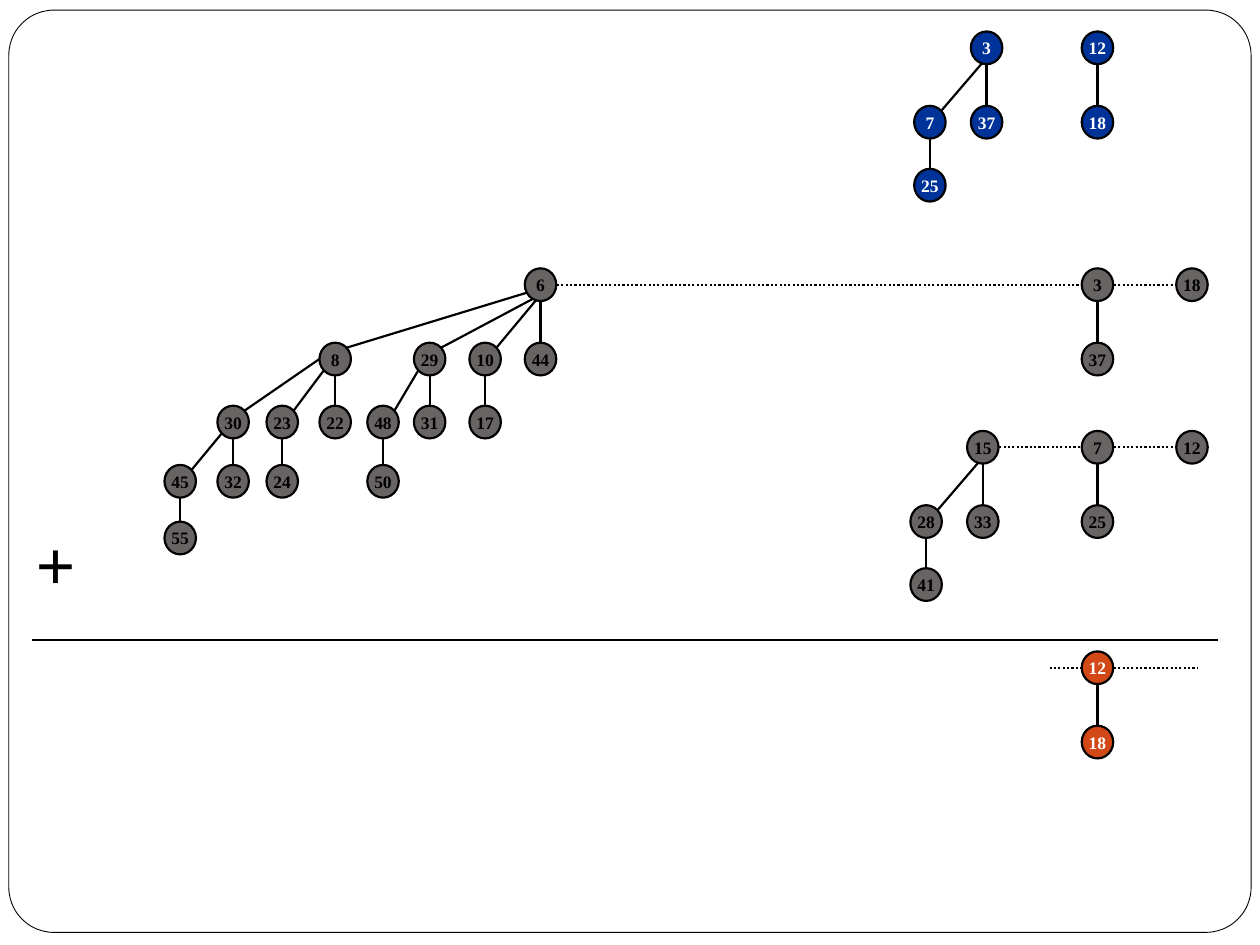
from lxml import etree
from pptx import Presentation, util as u
from pptx.dml.color import RGBColor
from pptx.enum import dml, shapes, text
from pptx.oxml.ns import qn

BLACK, WHITE = RGBColor(0, 0, 0), RGBColor(255, 255, 255)
GRAY, BLUE, ORANGE = (RGBColor.from_string(c) for c in ("696464", "003399", "D34817"))

# Binomial trees: (key, centre x, children)
CARRY = [
    ("3", 7.83, [("7", 7.38, [("25", 7.38, [])]), ("37", 7.83, [])]),
    ("12", 8.71, [("18", 8.71, [])]),
]
FIRST_HEAP = [
    ("6", 4.29, [
        ("8", 2.66, [
            ("30", 1.85, [("45", 1.43, [("55", 1.43, [])]), ("32", 1.85, [])]),
            ("23", 2.24, [("24", 2.24, [])]),
            ("22", 2.66, [])]),
        ("29", 3.41, [("48", 3.04, [("50", 3.04, [])]), ("31", 3.41, [])]),
        ("10", 3.85, [("17", 3.85, [])]),
        ("44", 4.29, [])]),
    ("3", 8.71, [("37", 8.71, [])]),
    ("18", 9.46, []),
]
SECOND_HEAP = [
    ("15", 7.8, [("28", 7.35, [("41", 7.35, [])]), ("33", 7.8, [])]),
    ("7", 8.71, [("25", 8.71, [])]),
    ("12", 9.46, []),
]
RESULT = [("12", 8.71, [("18", 8.71, [])])]

# (trees, root centre y, fill, text colour, x positions joined by dotted links)
HEAPS = [
    (CARRY, 0.38, BLUE, WHITE, []),
    (FIRST_HEAP, 2.26, GRAY, BLACK, [(4.42, 8.58), (8.84, 9.33)]),
    (SECOND_HEAP, 3.55, GRAY, BLACK, [(7.93, 8.58), (8.84, 9.33)]),
    (RESULT, 5.3, ORANGE, WHITE, [(8.33, 8.58), (8.84, 9.5)]),
]

LEVELS = [0, 0.59, 1.09, 1.56, 2.01]  # depth of each tree level below its root
NODE_W, NODE_H = 0.25, 0.26
CORNER = 0.09                         # offset of a node's diagonal point
FLAT = 0.65                           # edges with a lower slope count as flat
FONT = dict(name="Times New Roman", bold=True)

prs = Presentation()
prs.slide_width, prs.slide_height = u.Inches(10), u.Inches(7.5)
slide = prs.slides.add_slide(prs.slide_layouts[6])


def add_line(x1, y1, x2, y2, dash=None):
    line = slide.shapes.add_connector(
        shapes.MSO_CONNECTOR.STRAIGHT, *map(u.Inches, (x1, y1, x2, y2)))
    line.line.color.rgb = BLACK
    line.line.width = u.Pt(1.25)
    if dash:
        line.line.dash_style = dash
    etree.SubElement(line._element.spPr, qn("a:effectLst"))


def add_outlined(kind, x, y, w, h, fill, weight):
    shape = slide.shapes.add_shape(kind, *map(u.Inches, (x, y, w, h)))
    shape.shadow.inherit = False
    shape.fill.solid()
    shape.fill.fore_color.rgb = fill
    shape.line.color.rgb = BLACK
    shape.line.width = u.Pt(weight)
    return shape


def write(frame, words, size, color):
    paragraph = frame.paragraphs[0]
    paragraph.text = words
    paragraph.alignment = text.PP_ALIGN.CENTER
    for name, value in dict(FONT, size=u.Pt(size)).items():
        setattr(paragraph.font, name, value)
    paragraph.font.color.rgb = color


def add_edge(child_x, child_y, x, y, is_root):
    if child_x == x:
        add_line(x, child_y - NODE_H / 2, x, y + NODE_H / 2)
        return
    flat = (child_y - y) / (x - child_x) < FLAT
    if is_root:
        end = (x, y + (0.03 if flat else 0.08))
    elif flat:
        end = (x - NODE_W / 2, y)
    else:
        end = (x - CORNER, y + CORNER)
    add_line(child_x + CORNER, child_y - CORNER, *end)


def add_tree(tree, root_y, fill, color, depth=0):
    key, x, children = tree
    y = root_y + LEVELS[depth]
    for child in children:
        add_tree(child, root_y, fill, color, depth + 1)
        add_edge(child[1], root_y + LEVELS[depth + 1], x, y, depth == 0)
    node = add_outlined(shapes.MSO_SHAPE.OVAL, x - NODE_W / 2, y - NODE_H / 2,
                        NODE_W, NODE_H, fill, 1.25)
    node.text_frame.word_wrap = False
    node.text_frame.vertical_anchor = text.MSO_ANCHOR.MIDDLE
    write(node.text_frame, key, 10, color)


# Rounded slide frame
border = add_outlined(shapes.MSO_SHAPE.ROUNDED_RECTANGLE, 0.07, 0.08, 9.86, 7.32, WHITE, 0.5)
border.adjustments[0] = 0.049

# Heaps with the dotted links between their roots
for trees, root_y, fill, color, links in HEAPS:
    for start, end in links:
        add_line(start, root_y, end, root_y, dml.MSO_LINE.ROUND_DOT)
    for tree in trees:
        add_tree(tree, root_y, fill, color)

# Plus sign and sum line
plus = slide.shapes.add_textbox(*map(u.Inches, (0.17, 4.08, 0.54, 0.77)))
plus.text_frame.word_wrap = True
write(plus.text_frame, "+", 40, BLACK)
add_line(0.25, 5.08, 9.67, 5.08)

prs.save("out.pptx")
